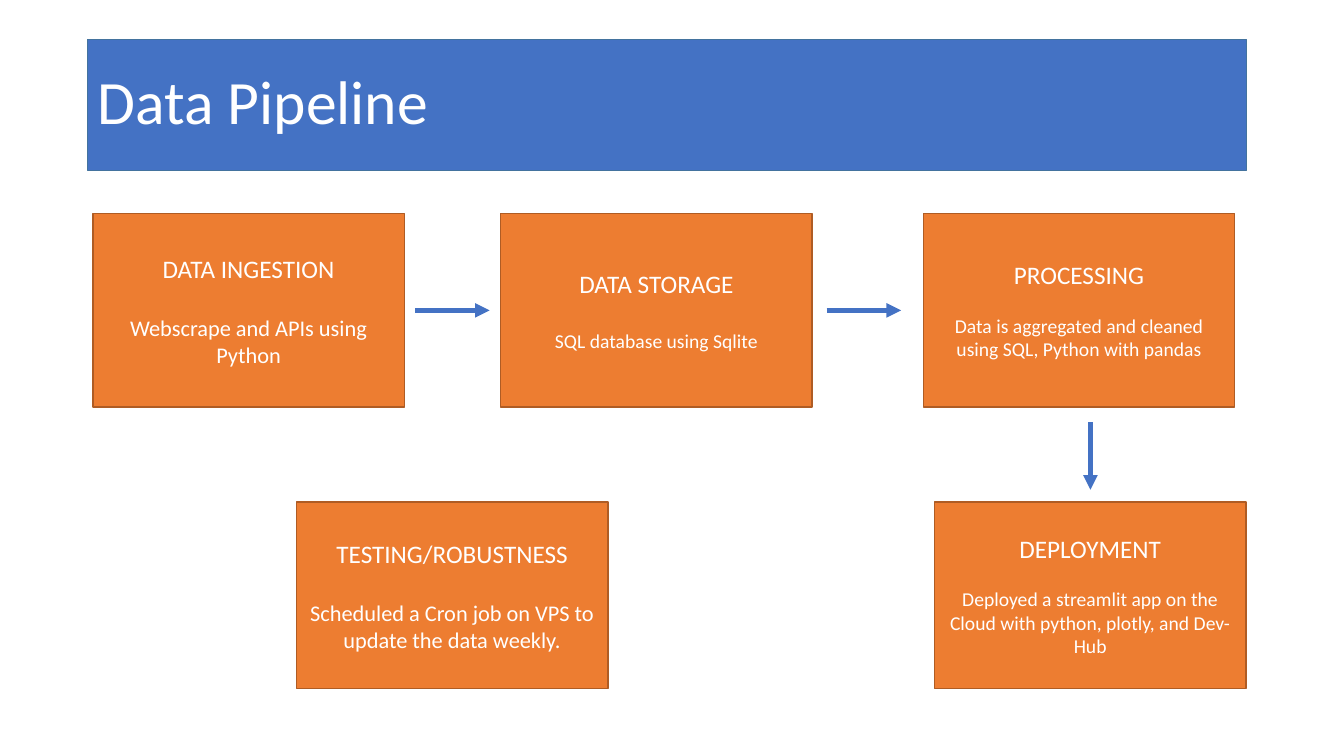
from pptx import Presentation
from pptx.dml.color import RGBColor
from pptx.enum.shapes import MSO_CONNECTOR, MSO_SHAPE
from pptx.enum.text import MSO_ANCHOR, MSO_AUTO_SIZE, PP_ALIGN
from pptx.oxml.ns import qn
from pptx.util import Cm, Pt
from lxml.etree import SubElement

COLORS = {
    "blue": "4472C4",
    "blue_edge": "43739E",
    "orange": "ED7D31",
    "orange_edge": "AF5C24",
    "white": "FFFFFF",
}


class PipelineSlide:
    font = "Calibri"
    box_width = 7.85

    def __init__(self, prs):
        self.s = prs.slides.add_slide(prs.slide_layouts[5])

    def color(self, name):
        return RGBColor.from_string(COLORS[name])

    def paint(self, sp, name):
        sp.fill.solid()
        sp.fill.fore_color.rgb = self.color(name)
        sp.line.color.rgb = self.color(name + "_edge")
        sp.line.width = Pt(1)

    def set_text(self, p, text, size, align):
        p.text = text
        p.alignment = align
        font = p.runs[0].font
        font.name = self.font
        font.size = Pt(size)
        font.color.rgb = self.color("white")

    def title(self, text, x, y, w, h):
        sp = self.s.shapes.title
        sp.left, sp.top, sp.width, sp.height = Cm(x), Cm(y), Cm(w), Cm(h)
        self.paint(sp, "blue")
        tf = sp.text_frame
        tf.auto_size = MSO_AUTO_SIZE.NONE
        tf.vertical_anchor = MSO_ANCHOR.MIDDLE
        p = tf.paragraphs[0]
        self.set_text(p, text, 44, PP_ALIGN.LEFT)
        p.line_spacing = 0.9

    def box(self, x, y, h, heading, detail, size, gap):
        sp = self.s.shapes.add_shape(
            MSO_SHAPE.RECTANGLE, Cm(x), Cm(y), Cm(self.box_width), Cm(h))
        sp.shadow.inherit = False
        self.paint(sp, "orange")
        tf = sp.text_frame
        tf.word_wrap = True
        tf.vertical_anchor = MSO_ANCHOR.MIDDLE
        self.set_text(tf.paragraphs[0], heading, 18, PP_ALIGN.CENTER)
        p = tf.add_paragraph()
        self.set_text(p, detail, size, PP_ALIGN.CENTER)
        p.space_before = Pt(gap)

    def arrow(self, x1, y1, x2, y2):
        c = self.s.shapes.add_connector(
            MSO_CONNECTOR.STRAIGHT, Cm(x1), Cm(y1), Cm(x2), Cm(y2))
        c.line.color.rgb = self.color("blue")
        c.line.width = Pt(3.5)
        spPr = c._element.spPr
        SubElement(spPr.find(qn("a:ln")), qn("a:tailEnd"), type="triangle")
        SubElement(spPr, qn("a:effectLst"))


def main():
    prs = Presentation()
    prs.slide_width, prs.slide_height = Cm(33.87), Cm(19.05)
    slide = PipelineSlide(prs)
    slide.title("Data Pipeline", 2.21, 0.99, 29.21, 3.3)

    top, bottom = (5.38, 4.88), (12.65, 4.7)
    steps = [
        (2.34, top, "DATA INGESTION",
         "Webscrape and APIs using Python", 16, 22),
        (12.62, top, "DATA STORAGE", "SQL database using Sqlite", 14, 22),
        (23.27, top, "PROCESSING",
         "Data is aggregated and cleaned using SQL, Python with pandas", 14, 17),
        (23.55, bottom, "DEPLOYMENT",
         "Deployed a streamlit app on the Cloud with python, plotly, and Dev-Hub",
         14, 17),
        (7.47, bottom, "TESTING/ROBUSTNESS",
         "Scheduled a Cron job on VPS to update the data weekly.", 16, 22),
    ]
    for x, (y, h), heading, detail, size, gap in steps:
        slide.box(x, y, h, heading, detail, size, gap)

    for x in (10.46, 20.83):
        slide.arrow(x, 7.82, x + 1.88, 7.82)
    slide.arrow(27.48, 10.64, 27.48, 12.34)

    prs.save("out.pptx")


if __name__ == "__main__":
    main()
